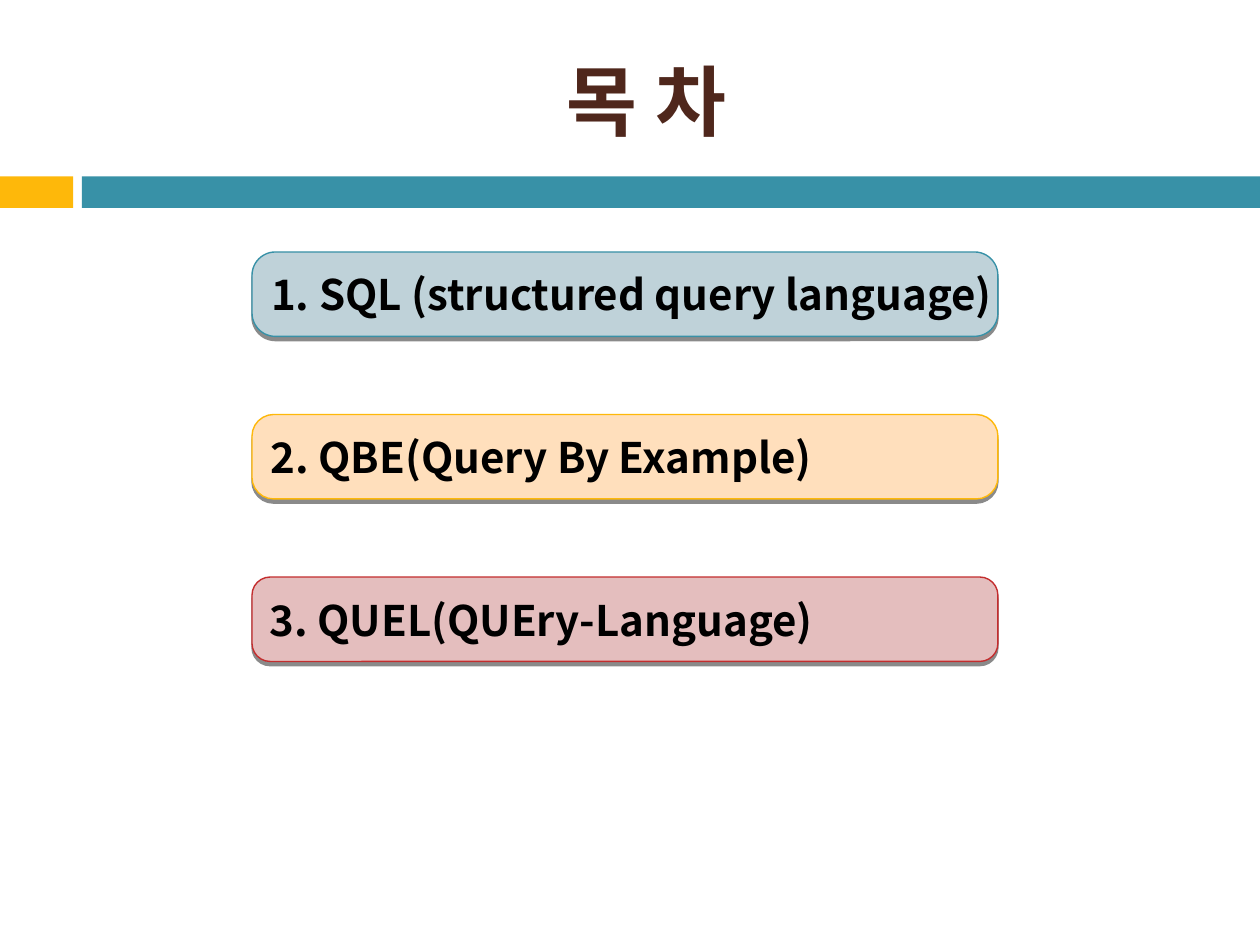
import pptx
import pptx.dml.color
import pptx.enum.shapes
import pptx.enum.text
import pptx.oxml
import pptx.oxml.ns
import pptx.util
from pptx.util import Inches

FONT = "Noto Sans CJK KR"
SHADOW = (
    f'<a:effectLst {pptx.oxml.ns.nsdecls("a")}>'
    '<a:outerShdw blurRad="0" dist="30480" dir="5400000" algn="ctr" rotWithShape="0">'
    '<a:srgbClr val="000000"><a:alpha val="45000"/></a:srgbClr>'
    '</a:outerShdw></a:effectLst>'
)


def set_color(color, value):
    color.rgb = pptx.dml.color.RGBColor.from_string(value)


def add_text(tf, text, size, color, align, wrap):
    tf.word_wrap = wrap
    tf.auto_size = pptx.enum.text.MSO_AUTO_SIZE.NONE
    tf.vertical_anchor = pptx.enum.text.MSO_ANCHOR.MIDDLE
    p = tf.paragraphs[0]
    p.alignment = align
    r = p.add_run()
    r.text = text
    r.font.size = pptx.util.Pt(size)
    r.font.bold = True
    r.font.name = FONT
    set_color(r.font.color, color)
    ea = pptx.oxml.parse_xml(f'<a:ea {pptx.oxml.ns.nsdecls("a")} typeface="{FONT}"/>')
    r.font._element.find(pptx.oxml.ns.qn("a:latin")).addnext(ea)


prs = pptx.Presentation()
prs.slide_width = Inches(10)
prs.slide_height = Inches(7.5)
s = prs.slides.add_slide(prs.slide_layouts[5])

for left, width, fill in [(0, 0.58, "FEB80A"), (0.65, 9.35, "3891A7")]:
    sp = s.shapes.add_shape(pptx.enum.shapes.MSO_SHAPE.RECTANGLE,
                            Inches(left), Inches(1.4), Inches(width), Inches(0.25))
    sp.shadow.inherit = False
    sp.fill.solid()
    set_color(sp.fill.fore_color, fill)
    sp.line.fill.background()

title = s.shapes.title
title.left, title.top = Inches(0.67), Inches(0.25)
title.width, title.height = Inches(8.92), Inches(1.08)
add_text(title.text_frame, "목 차", size=44, color="4F271C",
         align=pptx.enum.text.PP_ALIGN.CENTER, wrap=True)

items = [
    ("1. SQL (structured query language)", "BFD2D9", "3891A7", 0.277),
    ("2. QBE(Query By Example)", "FFDFBC", "FEB80A", 0.256),
    ("3. QUEL(QUEry-Language)", "E4BEBE", "C32D2E", 0.214),
]
for i, (text, fill, line, radius) in enumerate(items):
    sp = s.shapes.add_shape(pptx.enum.shapes.MSO_SHAPE.ROUNDED_RECTANGLE,
                            Inches(2), Inches(2 + 1.29 * i), Inches(5.92), Inches(0.67))
    sp.adjustments[0] = radius
    sp.fill.solid()
    set_color(sp.fill.fore_color, fill)
    set_color(sp.line.color, line)
    sp.line.width = pptx.util.Pt(0.79)
    sp._element.spPr.append(pptx.oxml.parse_xml(SHADOW))
    add_text(sp.text_frame, text, size=24, color="000000",
             align=pptx.enum.text.PP_ALIGN.LEFT, wrap=False)

prs.save("out.pptx")
